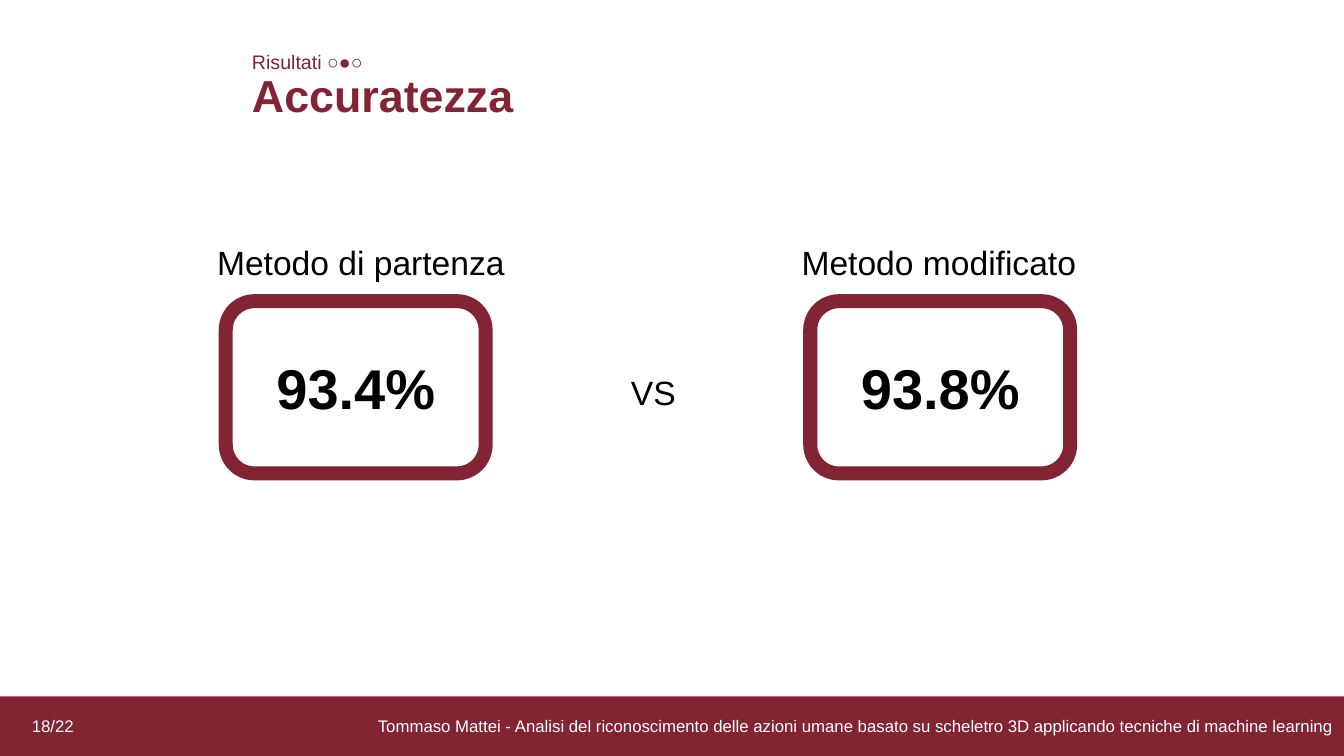
import pptx
import pptx.util
import pptx.dml.color
import pptx.enum.shapes
import pptx.enum.text

Cm = pptx.util.Cm
Pt = pptx.util.Pt
Shape = pptx.enum.shapes.MSO_SHAPE
Align = pptx.enum.text.PP_ALIGN
Anchor = pptx.enum.text.MSO_ANCHOR
RED, BLACK, WHITE = "822433", "000000", "FFFFFF"


def color(code):
    return pptx.dml.color.RGBColor.from_string(code)


def write(shape, text, size, code, bold=False, align=Align.LEFT,
          anchor=Anchor.TOP, wrap=True):
    frame = shape.text_frame
    frame.text = text
    frame.word_wrap = wrap
    frame.vertical_anchor = anchor
    para = frame.paragraphs[0]
    para.alignment = align
    font = para.runs[0].font
    font.name = "Arial"
    font.size = Pt(size)
    font.bold = bold
    font.color.rgb = color(code)


deck = pptx.Presentation()
deck.slide_width = Cm(33.87)
deck.slide_height = Cm(19.05)
slide = deck.slides.add_slide(deck.slide_layouts[6])
shapes = slide.shapes

# Footer band and page number
band = shapes.add_shape(Shape.RECTANGLE, 0, Cm(17.55), Cm(33.87), Cm(1.5))
band.shadow.inherit = False
band.fill.solid()
band.fill.fore_color.rgb = color(RED)
band.line.fill.background()
write(band, "Tommaso Mattei - Analisi del riconoscimento delle azioni umane "
      "basato su scheletro 3D applicando tecniche di machine learning",
      12, WHITE, align=Align.RIGHT, anchor=Anchor.MIDDLE)
page = shapes.add_textbox(0, Cm(17.53), Cm(2.11), Cm(1.52))
write(page, "18/22", 12, WHITE, align=Align.RIGHT, anchor=Anchor.MIDDLE)

# Title and section
title = shapes.add_textbox(Cm(6.1), Cm(1.57), Cm(25.58), Cm(1.63))
write(title, "Accuratezza", 32, RED, bold=True)
part = shapes.add_textbox(Cm(6.1), Cm(1.14), Cm(6.15), Cm(0.86))
write(part, "Risultati ○●○", 14, RED)

# The two methods, each a label over a framed score
methods = [
    (5.69, "Metodo di partenza", 7.85, "93.4%"),
    (20.42, "Metodo modificato", 7.49, "93.8%"),
]
for left, name, width, score in methods:
    card = shapes.add_shape(Shape.ROUNDED_RECTANGLE,
                            Cm(left), Cm(7.59), Cm(6.55), Cm(4.34))
    card.shadow.inherit = False
    card.fill.background()
    card.line.color.rgb = color(RED)
    card.line.width = Pt(10)
    write(card, score, 40, BLACK, bold=True, align=Align.CENTER,
          anchor=Anchor.MIDDLE)
    label = shapes.add_textbox(Cm(left - 0.47), Cm(5.97), Cm(width), Cm(1.27))
    write(label, name, 24, BLACK, wrap=False)

# Versus sign between the cards
versus = shapes.add_textbox(Cm(15.65), Cm(9.25), Cm(1.65), Cm(1.27))
write(versus, "VS", 24, BLACK, wrap=False)

deck.save("out.pptx")
